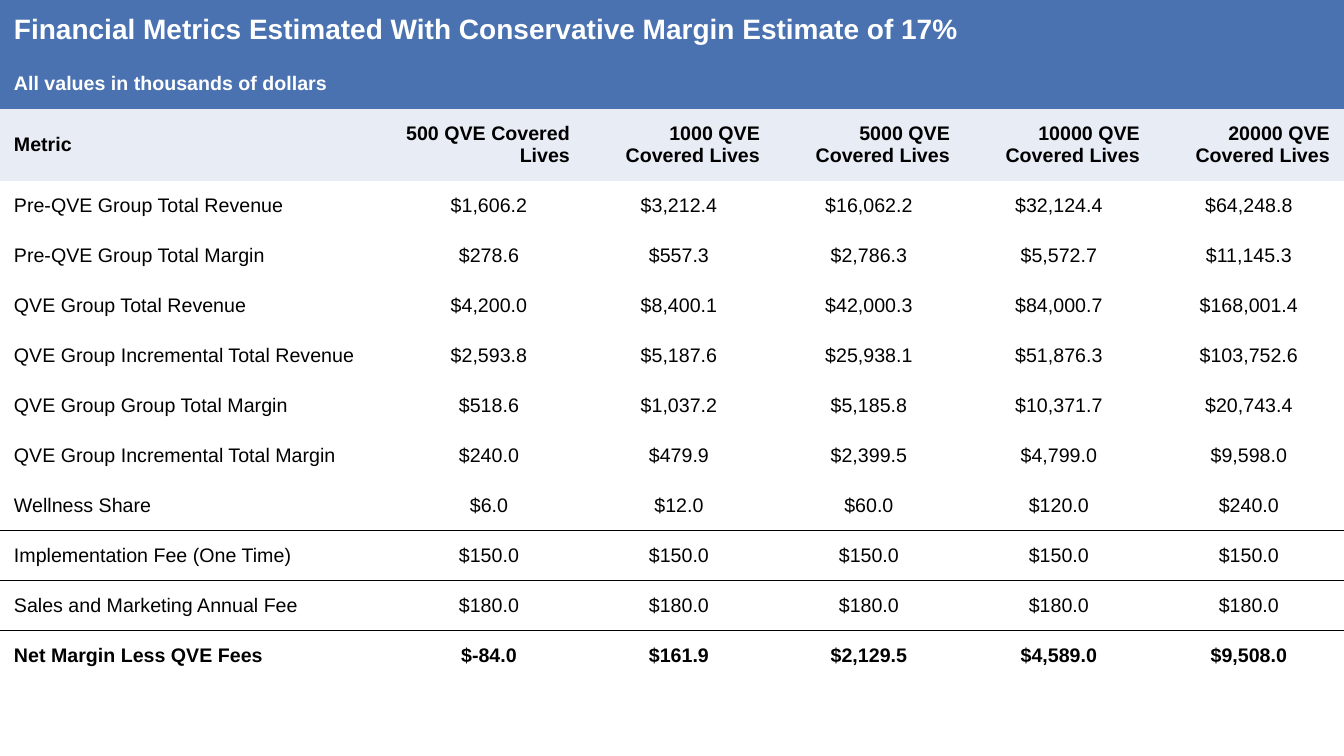
from dataclasses import dataclass

from lxml.etree import SubElement
from pptx import Presentation
from pptx.dml.color import RGBColor
from pptx.enum.text import MSO_ANCHOR, PP_ALIGN
from pptx.oxml import parse_xml
from pptx.oxml.ns import nsdecls, qn
from pptx.util import Emu, Pt

EMU_PER_PX = 914400 / 100.8
NO_STYLE_NO_GRID = "{2D5ABB26-0587-4C30-8999-92F81FD0307C}"


def px(n):
    return Emu(round(n * EMU_PER_PX))


@dataclass(frozen=True)
class Theme:
    font: str = "Arial"
    title_size: int = 20
    text_size: int = 14
    rule_width: int = 1
    band: str = "4A72B0"
    header: str = "E7ECF5"
    text: str = "000000"
    on_band: str = "FFFFFF"


TITLE = "Financial Metrics Estimated With Conservative Margin Estimate of 17%"
SUBTITLE = "All values in thousands of dollars"
HEADER = ["Metric"] + [f"{n} QVE Covered Lives" for n in (500, 1000, 5000, 10000, 20000)]
METRICS = [
    ("Pre-QVE Group Total Revenue", 1606.2, 3212.4, 16062.2, 32124.4, 64248.8),
    ("Pre-QVE Group Total Margin", 278.6, 557.3, 2786.3, 5572.7, 11145.3),
    ("QVE Group Total Revenue", 4200.0, 8400.1, 42000.3, 84000.7, 168001.4),
    ("QVE Group Incremental Total Revenue", 2593.8, 5187.6, 25938.1, 51876.3, 103752.6),
    ("QVE Group Group Total Margin", 518.6, 1037.2, 5185.8, 10371.7, 20743.4),
    ("QVE Group Incremental Total Margin", 240.0, 479.9, 2399.5, 4799.0, 9598.0),
    ("Wellness Share", 6.0, 12.0, 60.0, 120.0, 240.0),
    ("Implementation Fee (One Time)", *[150.0] * 5),
    ("Sales and Marketing Annual Fee", *[180.0] * 5),
    ("Net Margin Less QVE Fees", -84.0, 161.9, 2129.5, 4589.0, 9508.0),
]
RULED_BELOW = ("Wellness Share", "Sales and Marketing Annual Fee")
COL_WIDTHS = [394] + [190] * 5
ROW_HEIGHTS = [59, 50, 72] + [50] * len(METRICS)


class SlideBuilder:
    def __init__(self, prs, theme):
        self.theme = theme
        self.s = prs.slides.add_slide(prs.slide_layouts[6])

    def table(self, x, y, widths, heights):
        frame = self.s.shapes.add_table(len(heights), len(widths), px(x), px(y),
                                        px(sum(widths)), px(sum(heights)))
        tbl = frame.table
        tbl.first_row = tbl.horz_banding = False
        tbl._tbl.tblPr.find(qn("a:tableStyleId")).text = NO_STYLE_NO_GRID
        for col, w in zip(tbl.columns, widths):
            col.width = px(w)
        for row, h in zip(tbl.rows, heights):
            row.height = px(h)
        return tbl

    def cell(self, cell, text, fill=None, color=None, size=None, bold=False,
             align=PP_ALIGN.LEFT, left=14):
        if fill:
            cell.fill.solid()
            cell.fill.fore_color.rgb = RGBColor.from_string(fill)
        else:
            cell.fill.background()
        cell.vertical_anchor = MSO_ANCHOR.MIDDLE
        cell.margin_left, cell.margin_right = px(left), px(14)
        cell.margin_top = cell.margin_bottom = px(10)
        p = cell.text_frame.paragraphs[0]
        p.text = text
        p.alignment = align
        p.font.name = self.theme.font
        p.font.size = Pt(size or self.theme.text_size)
        p.font.bold = bold
        p.font.color.rgb = RGBColor.from_string(color or self.theme.text)

    def banner(self, tbl, row, text, size):
        last = len(tbl.columns) - 1
        tbl.cell(row, 0).merge(tbl.cell(row, last))
        self.cell(tbl.cell(row, 0), text, self.theme.band, self.theme.on_band, size, True)

    def rule(self, tbl, row):
        """Draw a line between the given row and the next one."""
        for r, side in ((row, "lnB"), (row + 1, "lnT")):
            for c in range(len(tbl.columns)):
                ln = parse_xml(f'<a:{side} {nsdecls("a")} w="{Pt(self.theme.rule_width)}"/>')
                fill = SubElement(ln, qn("a:solidFill"))
                SubElement(fill, qn("a:srgbClr"), val=self.theme.text)
                tbl.cell(r, c)._tc.get_or_add_tcPr().insert(0, ln)


def main():
    prs = Presentation()
    prs.slide_width, prs.slide_height = px(1344), px(756)
    theme = Theme()
    slide = SlideBuilder(prs, theme)
    tbl = slide.table(0, 0, COL_WIDTHS, ROW_HEIGHTS)

    # Title bands
    slide.banner(tbl, 0, TITLE, theme.title_size)
    slide.banner(tbl, 1, SUBTITLE, theme.text_size)

    # Column headings
    for c, text in enumerate(HEADER):
        align, left = (PP_ALIGN.RIGHT, 10) if c else (PP_ALIGN.LEFT, 14)
        slide.cell(tbl.cell(2, c), text, theme.header, bold=True, align=align, left=left)

    # Metrics, with the net margin in bold
    for r, (name, *values) in enumerate(METRICS, start=3):
        bold = name == METRICS[-1][0]
        slide.cell(tbl.cell(r, 0), name, bold=bold)
        for c, value in enumerate(values, start=1):
            slide.cell(tbl.cell(r, c), f"${value:,.1f}", bold=bold, align=PP_ALIGN.CENTER)
        if name in RULED_BELOW:
            slide.rule(tbl, r)

    prs.save("out.pptx")


if __name__ == "__main__":
    main()
